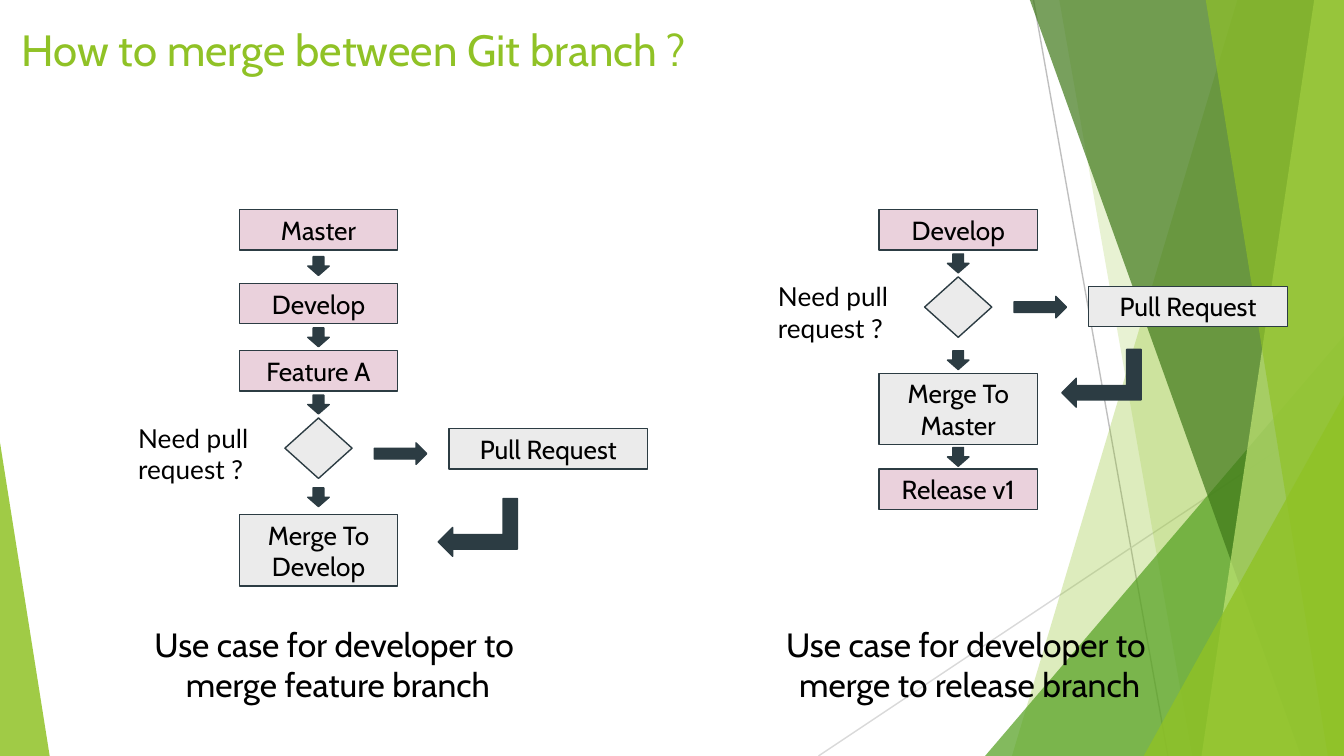
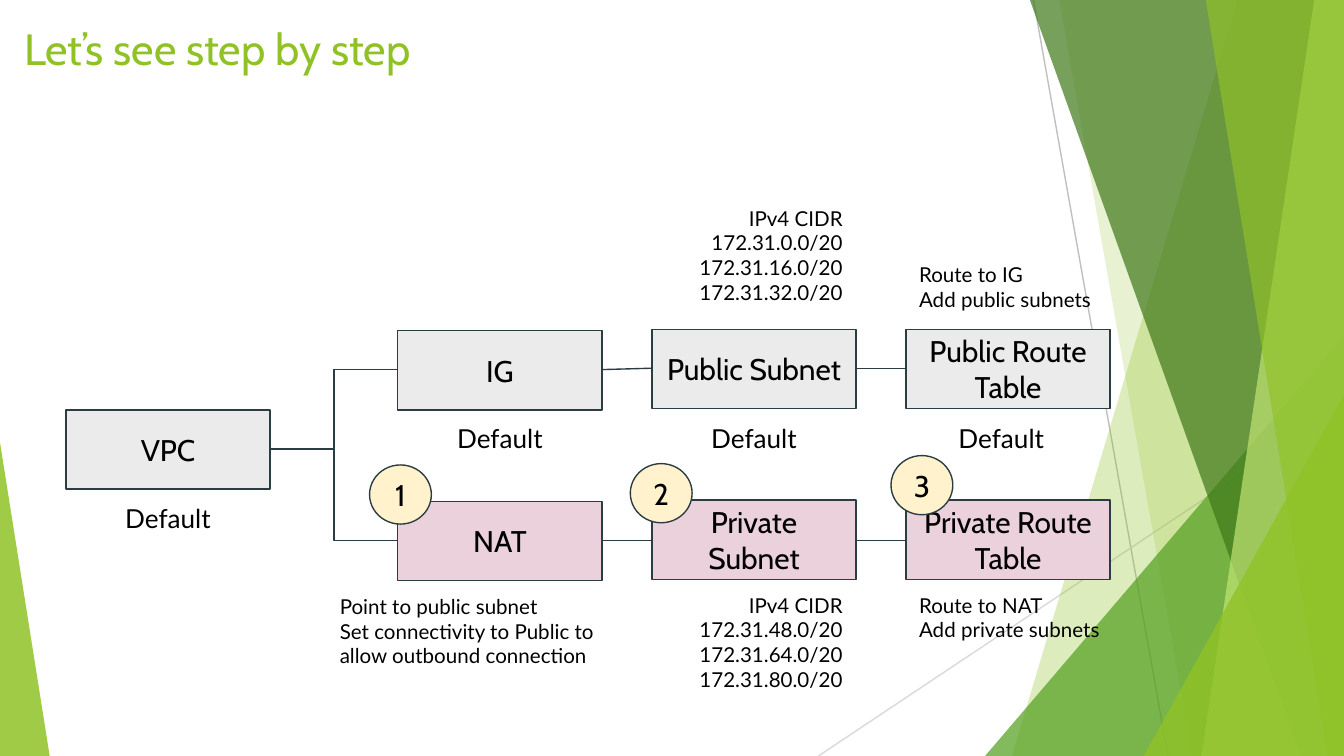
"""Builds two slides on Git branch merging and on VPC set-up."""
from lxml import etree
from pptx import Presentation
from pptx import util as u
from pptx.dml.color import RGBColor
from pptx.enum import shapes, text
from pptx.oxml import ns

GREEN = RGBColor(0x90, 0xC2, 0x26)
MID_GREEN = RGBColor(0x54, 0xA0, 0x21)
DARK_GREEN = RGBColor(0x3F, 0x78, 0x19)
LIGHT_GREEN = RGBColor(0xC0, 0xE4, 0x74)
SLATE = RGBColor(0x2C, 0x3C, 0x43)
PINK = RGBColor(0xEA, 0xD1, 0xDC)
GREY = RGBColor(0xEB, 0xEB, 0xEB)
CREAM = RGBColor(0xFF, 0xF2, 0xCC)
RAY = RGBColor(0xBF, 0xBF, 0xBF)
PALE_RAY = RGBColor(0xD9, 0xD9, 0xD9)
BLACK = RGBColor(0, 0, 0)
W = 10
H = W * 9 / 16
KIND = shapes.MSO_SHAPE
WIRE = shapes.MSO_CONNECTOR
LEFT, CENTER, RIGHT = text.PP_ALIGN.LEFT, text.PP_ALIGN.CENTER, text.PP_ALIGN.RIGHT
TOP = text.MSO_ANCHOR.TOP


def add_shape(s, kind, at, fill, rotation=0):
    sp = s.shapes.add_shape(kind, *map(u.Inches, at))
    sp.shadow.inherit = False
    sp.fill.solid()
    sp.fill.fore_color.rgb = fill
    sp.line.color.rgb = SLATE
    sp.line.width = u.Pt(0.75)
    sp.rotation = rotation
    return sp


def write(sp, lines, size, font="Cabin", align=CENTER, color=BLACK,
          anchor=text.MSO_ANCHOR.MIDDLE, inset=0.1, wrap=True):
    tf = sp.text_frame
    tf.word_wrap = wrap
    tf.auto_size = text.MSO_AUTO_SIZE.NONE
    tf.vertical_anchor = anchor
    tf.margin_left = tf.margin_right = u.Inches(0.1)
    tf.margin_top = tf.margin_bottom = u.Inches(inset)
    for i, line in enumerate(lines):
        p = tf.add_paragraph() if i else tf.paragraphs[0]
        p.alignment = align
        r = p.add_run()
        r.text = line
        r.font.size = u.Pt(size)
        r.font.name = font
        r.font.color.rgb = color


prs = Presentation()
prs.slide_width, prs.slide_height = u.Inches(W), u.Inches(H)
layout = prs.slide_layouts[5]

slides = []
for title, x, y in [("How to merge between Git branch ?", 0.06, 0.07),
                    ("Let’s see step by step", 0.08, 0.06)]:
    s = prs.slides.add_slide(layout)
    sp = s.shapes.title
    sp.left, sp.top, sp.width, sp.height = map(u.Inches, (x, y, 8.41, 0.59))
    write(sp, [title], 23.4, align=LEFT, color=GREEN, anchor=TOP)
    slides.append(s)
merge, steps = slides

wires = []
backdrop = []
for start, end, color in [((7.69, 0), (8.69, H), RAY), ((W, 3.02), (6.09, H), PALE_RAY)]:
    sp = merge.shapes.add_connector(WIRE.STRAIGHT, *map(u.Inches, start + end))
    wires.append((sp, color))
    backdrop.append(sp)

facets = [
    ("band", (9.21, 7.53), GREEN, 30),
    ("band", (7.88, 8.87), GREEN, 20),
    ("triangle", (7.33, 2.5, 2.67, 1), MID_GREEN, 72),
    ("band", (7.66, 9.68), DARK_GREEN, 70),
    ("band", (9.78, 8.94), LIGHT_GREEN, 70),
    ("band", (8.97, 9.88), GREEN, 65),
    ("triangle", (8.51, 2.94, 1.49, 1), GREEN, 80),
    ("triangle", (0, 3.29, 0.37, 0), GREEN, 85),
]
for kind, place, color, opacity in facets:
    if kind == "band":
        top, bottom = place
        pen = merge.shapes.build_freeform(u.Inches(top), u.Inches(-0.01))
        pen.add_line_segments([(u.Inches(x), u.Inches(y))
                               for x, y in [(W, -0.01), (W, H), (bottom, H)]])
        sp = pen.convert_to_shape()
        sp.shadow.inherit = False
        sp.fill.solid()
        sp.fill.fore_color.rgb = color
    else:
        x, y, width, apex = place
        sp = add_shape(merge, KIND.ISOSCELES_TRIANGLE, (x, y, width, H - y), color)
        sp.adjustments[0] = apex
    sp.line.fill.background()
    rgb = sp.element.spPr.find(ns.qn("a:solidFill"))[0]
    etree.SubElement(rgb, ns.qn("a:alpha")).set("val", str(opacity * 1000))
    backdrop.append(sp)

for i, sp in enumerate(backdrop):
    layout.shapes.element.insert(2 + i, sp.element)

flows = [
    dict(x=1.78, diamond=3.11, turn=(3.34, 3.63), side=3.18, pull=3.19,
         boxes=[("Master", 1.56, 0.3, PINK), ("Develop", 2.11, 0.3, PINK),
                ("Feature A", 2.61, 0.3, PINK), ("Merge To Develop", 3.83, 0.53, GREY)],
         arrows=[1.91, 2.44, 2.94, 3.63], caption=0.93, goal="merge feature branch"),
    dict(x=6.54, diamond=2.06, turn=(7.98, 2.52), side=2.09, pull=2.13,
         boxes=[("Develop", 1.56, 0.3, PINK), ("Merge To Master", 2.78, 0.53, GREY),
                ("Release v1", 3.49, 0.3, PINK)],
         arrows=[1.89, 2.61, 3.33], caption=5.63, goal="merge to release branch"),
]
for flow in flows:
    x, y = flow["x"], flow["diamond"]
    for label, top, height, fill in flow["boxes"]:
        write(add_shape(merge, KIND.RECTANGLE, (x, top, 1.18, height), fill), [label], 14)
    add_shape(merge, KIND.DIAMOND, (x + 0.34, y, 0.5, 0.45), GREY)
    sp = add_shape(merge, KIND.RECTANGLE, (x + 1.56, flow["pull"], 1.48, 0.3), GREY)
    write(sp, ["Pull Request"], 14)
    sp = merge.shapes.add_textbox(*map(u.Inches, (x - 0.85, y - 0.07, 1.07, 0.67)))
    write(sp, ["Need pull request ?"], 14, "Lato", LEFT, anchor=TOP)
    for top in flow["arrows"]:
        add_shape(merge, KIND.DOWN_ARROW, (x + 0.51, top, 0.16, 0.14), SLATE)
    add_shape(merge, KIND.DOWN_ARROW, (x + 1.12, flow["side"], 0.16, 0.39), SLATE, 270)
    sp = add_shape(merge, KIND.BENT_UP_ARROW, flow["turn"] + (0.43, 0.59), SLATE, 270)
    sp.element.spPr.find(ns.qn("a:xfrm")).set("flipH", "1")
    sp = merge.shapes.add_textbox(*map(u.Inches, (flow["caption"], 4.59, 3.17, 0.71)))
    write(sp, ["Use case for developer to ", flow["goal"]], 18,
          anchor=TOP, inset=0.05, wrap=False)

columns = [2.96, 4.85, 6.74]
boxes = [("VPC", 0.49, 3.05, GREY)]
for names, tops, fill in [
        (["IG", "Public Subnet", "Public Route Table"], [2.46, 2.45, 2.45], GREY),
        (["NAT", "Private Subnet", "Private Route Table"], [3.73, 3.72, 3.72], PINK)]:
    boxes += [(n, x, y, fill) for n, x, y in zip(names, columns, tops)]
for label, x, y, fill in boxes:
    write(add_shape(steps, KIND.RECTANGLE, (x, y, 1.52, 0.59), fill), [label], 16)

for kind, ends in [
        (WIRE.ELBOW, (2.01, 3.34, 2.96, 2.75)), (WIRE.ELBOW, (2.01, 3.34, 2.96, 4.02)),
        (WIRE.STRAIGHT, (4.48, 2.75, 4.85, 2.74)), (WIRE.STRAIGHT, (6.37, 2.74, 6.74, 2.74)),
        (WIRE.STRAIGHT, (4.48, 4.02, 4.85, 4.02)), (WIRE.STRAIGHT, (6.37, 4.02, 6.74, 4.02))]:
    wires.append((steps.shapes.add_connector(kind, *map(u.Inches, ends)), SLATE))

for sp, color in wires:
    sp.line.color.rgb = color
    sp.line.width = u.Pt(0.75)
    etree.SubElement(sp.element.spPr, ns.qn("a:effectLst"))

for x, y in [(0.79, 3.64), (3.26, 3.04), (5.15, 3.04), (6.99, 3.04)]:
    sp = steps.shapes.add_textbox(*map(u.Inches, (x, y, 0.92, 0.44)))
    write(sp, ["Default"], 14, "Lato", anchor=TOP)

notes = [
    ((2.43, 4.32, 2.33, 0.76), LEFT,
     ["Point to public subnet", "Set connectivity to Public to allow outbound connection"]),
    ((6.74, 4.31, 1.86, 0.57), LEFT, ["Route to NAT", "Add private subnets"]),
    ((6.74, 1.85, 1.86, 0.57), LEFT, ["Route to IG", "Add public subnets"]),
]
for y, blocks in [(1.43, (0, 16, 32)), (4.31, (48, 64, 80))]:
    notes.append(((4.85, y, 1.52, 0.94), RIGHT,
                  ["IPv4 CIDR"] + [f"172.31.{n}.0/20" for n in blocks]))
for at, align, lines in notes:
    sp = steps.shapes.add_textbox(*map(u.Inches, at))
    write(sp, lines, 11, "Lato", align, anchor=TOP)

for number, (x, y) in enumerate([(2.75, 3.46), (4.69, 3.45), (6.63, 3.39)], 1):
    write(add_shape(steps, KIND.OVAL, (x, y, 0.46, 0.44), CREAM), [str(number)], 16)

prs.save("out.pptx")
